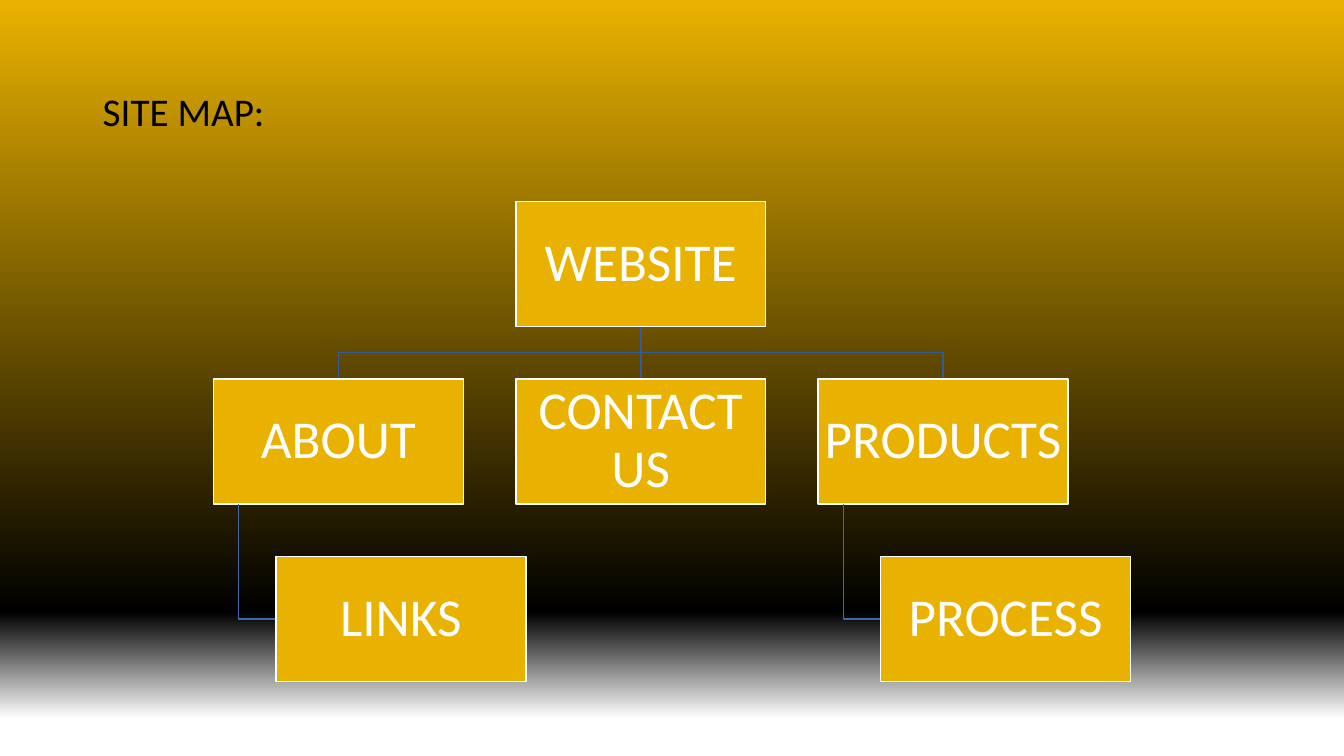
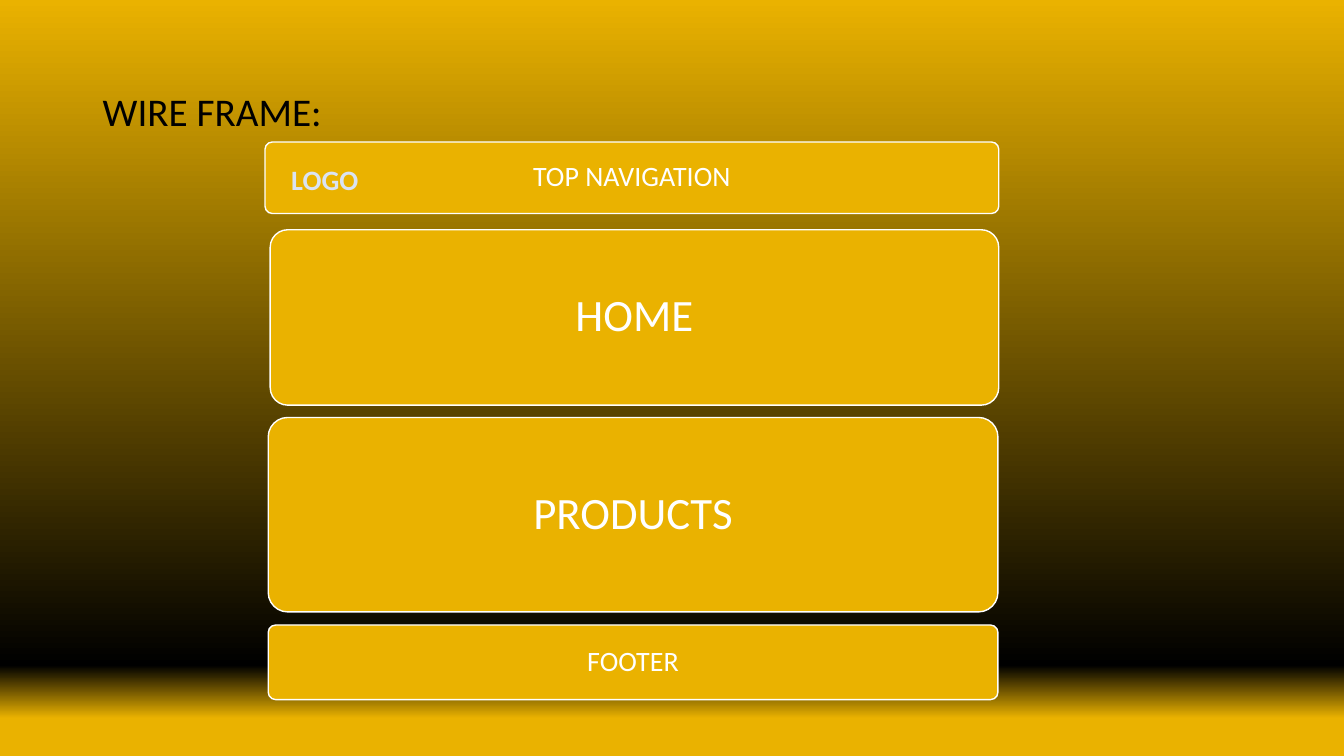
from dataclasses import dataclass
from typing import NamedTuple

from lxml import etree
from pptx import Presentation
from pptx.dml.color import RGBColor
from pptx.enum.shapes import MSO_CONNECTOR, MSO_SHAPE
from pptx.enum.text import MSO_ANCHOR, PP_ALIGN
from pptx.oxml.ns import qn
from pptx.presentation import Presentation as Deck
from pptx.shapes.base import BaseShape
from pptx.slide import Slide
from pptx.text.text import TextFrame
from pptx.util import Cm, Pt

RECTANGLE = MSO_SHAPE.RECTANGLE
ROUNDED = MSO_SHAPE.ROUNDED_RECTANGLE
STRAIGHT = MSO_CONNECTOR.STRAIGHT
TOP = MSO_ANCHOR.TOP
MIDDLE = MSO_ANCHOR.MIDDLE
LEFT = PP_ALIGN.LEFT
CENTER = PP_ALIGN.CENTER


@dataclass(frozen=True)
class Theme:
    font: str = "Calibri"
    gold: str = "EAB200"
    black: str = "000000"
    white: str = "FFFFFF"
    pale_blue: str = "DAE3F3"
    branch_blue: str = "365B9D"
    hook_blue: str = "3E67B2"
    title_size: int = 28
    node_size: int = 38
    section_size: int = 32
    bar_size: int = 20
    line_width: int = 1
    line_spacing: float = 0.9


class Area(NamedTuple):
    left: float
    top: float
    width: float
    height: float


class Point(NamedTuple):
    x: float
    y: float


class Stop(NamedTuple):
    percent: int
    color: str


class TextStyle(NamedTuple):
    size: int
    color: str
    align: PP_ALIGN = CENTER
    anchor: MSO_ANCHOR = MIDDLE
    bold: bool = False
    spacing: float = 0.9


class Node(NamedTuple):
    label: str
    column: int
    child: str = ""


class Panel(NamedTuple):
    label: str
    area: Area
    size: int


THEME = Theme()
SLIDE_WIDTH, SLIDE_HEIGHT = 33.87, 19.05
TITLE_AREA = Area(2.34, 1.02, 29.21, 3.68)
TITLE_STYLE = TextStyle(THEME.title_size, THEME.black, LEFT)
NODE_STYLE = TextStyle(THEME.node_size, THEME.white)
LOGO_STYLE = TextStyle(THEME.bar_size, THEME.pale_blue, LEFT, TOP, True, 1.0)

MAP_LEFT, MAP_TOP = 5.38, 5.08
NODE_WIDTH, NODE_HEIGHT = 6.3, 3.15
COLUMN_STEP, ROW_STEP = 7.62, 4.47
CHILD_INDENT = NODE_WIDTH / 4
HOOK_INDENT = NODE_WIDTH / 10
NODE_INSET = 0.08

ROOT = Node("WEBSITE", 1)
PAGES = (
    Node("ABOUT", 0, "LINKS"),
    Node("CONTACT US", 1),
    Node("PRODUCTS", 2, "PROCESS"),
)
PANELS = (
    Panel("TOP NAVIGATION", Area(6.68, 3.58, 18.49, 1.8), THEME.bar_size),
    Panel("HOME", Area(6.81, 5.79, 18.36, 4.42), THEME.section_size),
    Panel("PRODUCTS", Area(6.76, 10.52, 18.39, 4.9), THEME.section_size),
    Panel("FOOTER", Area(6.76, 15.75, 18.39, 1.88), THEME.bar_size),
)
LOGO_AREA = Area(7.09, 3.96, 3.63, 1.12)


def rgb(color: str) -> RGBColor:
    return RGBColor.from_string(color)


def lengths(area: Area) -> tuple[Cm, ...]:
    return tuple(Cm(value) for value in area)


def paint_background(slide: Slide, stops: tuple[Stop, ...]) -> None:
    fill = slide.background.fill
    fill.gradient()
    fill.gradient_angle = 270
    stop_list = slide.element.find(".//" + qn("a:gsLst"))
    for element in list(stop_list):
        stop_list.remove(element)
    for stop in stops:
        element = etree.SubElement(stop_list, qn("a:gs"), pos=str(stop.percent * 1000))
        etree.SubElement(element, qn("a:srgbClr"), val=stop.color)


def write_text(frame: TextFrame, text: str, style: TextStyle) -> None:
    frame.word_wrap = True
    frame.vertical_anchor = style.anchor
    paragraph = frame.paragraphs[0]
    paragraph.alignment = style.align
    paragraph.line_spacing = style.spacing
    run = paragraph.add_run()
    run.text = text
    run.font.name = THEME.font
    run.font.size = Pt(style.size)
    run.font.bold = style.bold
    run.font.color.rgb = rgb(style.color)


def add_label(slide: Slide, text: str, area: Area, style: TextStyle) -> None:
    box = slide.shapes.add_textbox(*lengths(area))
    write_text(box.text_frame, text, style)


def add_box(slide: Slide, kind: MSO_SHAPE, text: str, area: Area, style: TextStyle) -> BaseShape:
    shape = slide.shapes.add_shape(kind, *lengths(area))
    shape.shadow.inherit = False
    shape.fill.solid()
    shape.fill.fore_color.rgb = rgb(THEME.gold)
    shape.line.color.rgb = rgb(THEME.white)
    shape.line.width = Pt(THEME.line_width)
    write_text(shape.text_frame, text, style)
    return shape


def add_node(slide: Slide, text: str, area: Area) -> None:
    frame = add_box(slide, RECTANGLE, text, area, NODE_STYLE).text_frame
    frame.margin_left = frame.margin_right = Cm(NODE_INSET)
    frame.margin_top = frame.margin_bottom = Cm(NODE_INSET)


def add_route(slide: Slide, points: tuple[Point, ...], color: str) -> None:
    corners = [(Cm(point.x), Cm(point.y)) for point in points]
    if len({point.x for point in points}) == 1:
        route = slide.shapes.add_connector(STRAIGHT, *corners[0], *corners[-1])
        etree.SubElement(route.element.spPr, qn("a:effectLst"))
    else:
        builder = slide.shapes.build_freeform(*corners[0])
        builder.add_line_segments(corners[1:], close=False)
        route = builder.convert_to_shape()
        route.shadow.inherit = False
        route.fill.background()
    route.line.color.rgb = rgb(color)
    route.line.width = Pt(THEME.line_width)


def node_area(column: int, row: int, indent: float = 0) -> Area:
    left = MAP_LEFT + column * COLUMN_STEP + indent
    return Area(left, MAP_TOP + row * ROW_STEP, NODE_WIDTH, NODE_HEIGHT)


def add_branch(slide: Slide, parent: Area, child: Area) -> None:
    start = Point(parent.left + parent.width / 2, parent.top + parent.height)
    end = Point(child.left + child.width / 2, child.top)
    middle = (start.y + end.y) / 2
    points = (start, Point(start.x, middle), Point(end.x, middle), end)
    add_route(slide, points, THEME.branch_blue)


def add_hook(slide: Slide, parent: Area, child: Area) -> None:
    start = Point(parent.left + HOOK_INDENT, parent.top + parent.height)
    end = Point(child.left, child.top + child.height / 2)
    add_route(slide, (start, Point(start.x, end.y), end), THEME.hook_blue)


def add_titled_slide(presentation: Deck, title: str, stops: tuple[Stop, ...]) -> Slide:
    slide = presentation.slides.add_slide(presentation.slide_layouts[6])
    paint_background(slide, stops)
    add_label(slide, title, TITLE_AREA, TITLE_STYLE)
    return slide


def build_site_map(presentation: Deck) -> None:
    stops = (Stop(0, THEME.gold), Stop(81, THEME.black), Stop(95, THEME.white))
    slide = add_titled_slide(presentation, "SITE MAP:", stops)
    root_area = node_area(ROOT.column, 0)
    add_node(slide, ROOT.label, root_area)
    for page in PAGES:
        page_area = node_area(page.column, 1)
        add_branch(slide, root_area, page_area)
        add_node(slide, page.label, page_area)
        if page.child:
            child_area = node_area(page.column, 2, CHILD_INDENT)
            add_hook(slide, page_area, child_area)
            add_node(slide, page.child, child_area)


def build_wire_frame(presentation: Deck) -> None:
    stops = (Stop(0, THEME.gold), Stop(88, THEME.black), Stop(95, THEME.gold))
    slide = add_titled_slide(presentation, "WIRE FRAME:", stops)
    for panel in PANELS:
        style = TextStyle(panel.size, THEME.white)
        shape = add_box(slide, ROUNDED, panel.label, panel.area, style)
        shape.adjustments[0] = 0.1
    add_label(slide, "LOGO", LOGO_AREA, LOGO_STYLE)


def main() -> None:
    presentation = Presentation()
    presentation.slide_width = Cm(SLIDE_WIDTH)
    presentation.slide_height = Cm(SLIDE_HEIGHT)
    build_site_map(presentation)
    build_wire_frame(presentation)
    presentation.save("out.pptx")


main()
